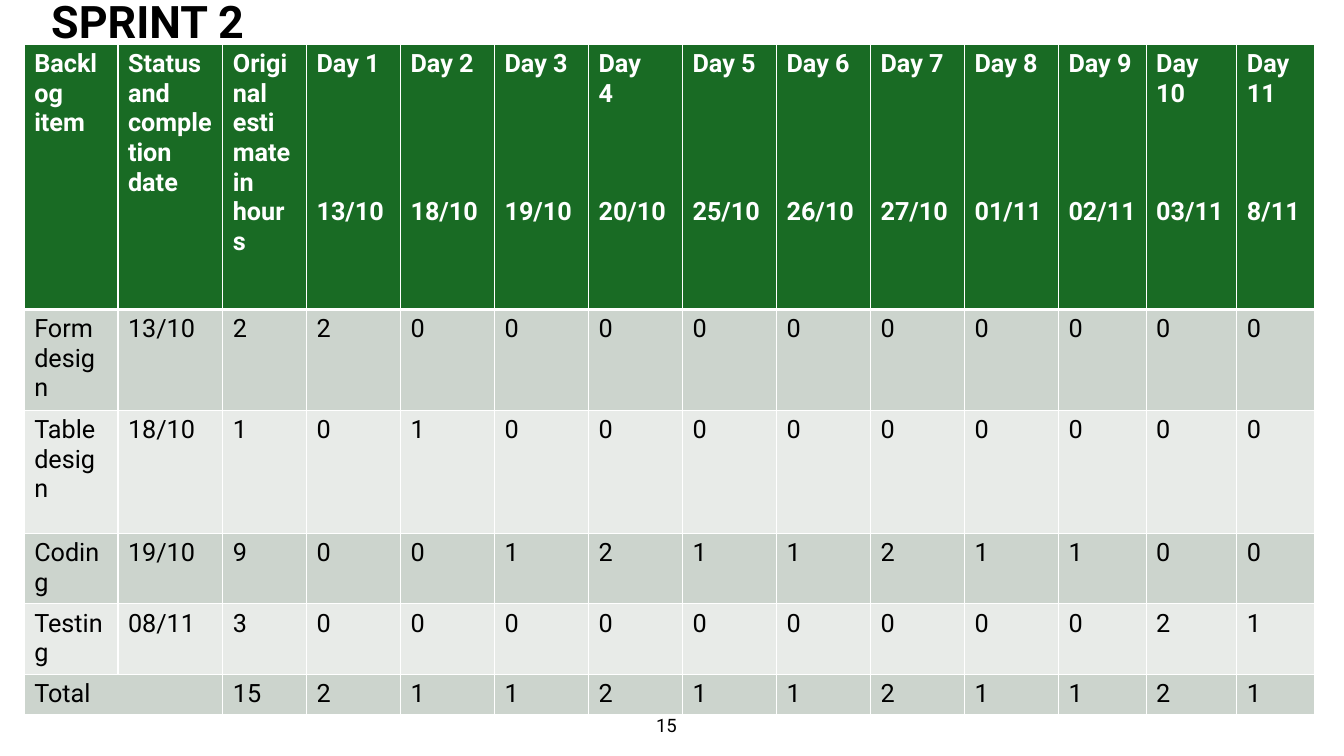
from lxml import etree
from pptx import Presentation
from pptx.dml.color import RGBColor
from pptx.enum.text import MSO_ANCHOR, PP_ALIGN
from pptx.oxml.ns import qn
from pptx.util import Inches, Pt

MIDDLE = MSO_ANCHOR.MIDDLE
CENTER = PP_ALIGN.CENTER
BLACK = RGBColor(0x00, 0x00, 0x00)
WHITE = RGBColor(0xFF, 0xFF, 0xFF)
GREEN = RGBColor(0x19, 0x6B, 0x24)
BAND_DARK = RGBColor(0xCC, 0xD4, 0xCD)
BAND_LIGHT = RGBColor(0xE8, 0xEB, 0xE8)
FONT = "Roboto"
LINE_PT = 21.1  # height of one 18 pt line

HEADINGS = ["Backlog item", "Status and completion date", "Original estimate in hours"]
DATES = ["13/10", "18/10", "19/10", "20/10", "25/10", "26/10",
         "27/10", "01/11", "02/11", "03/11", "8/11"]
TASKS = [
    ("Form design", "13/10", [2, 2, 0, 0, 0, 0, 0, 0, 0, 0, 0, 0]),
    ("Table design", "18/10", [1, 0, 1, 0, 0, 0, 0, 0, 0, 0, 0, 0]),
    ("Coding", "19/10", [9, 0, 0, 1, 2, 1, 1, 2, 1, 1, 0, 0]),
    ("Testing", "08/11", [3, 0, 0, 0, 0, 0, 0, 0, 0, 0, 2, 1]),
]
COLUMN_WIDTHS = [0.93, 1.04, 0.83] + [7.46 / 8] * 8 + [0.87, 0.9, 0.77]
ROW_HEIGHTS = [2.63, 0.94, 1.22, 0.66, 0.66, 0.38]


def style_text(frame, size, color, bold):
    """Format every run in a text frame."""
    for paragraph in frame.paragraphs:
        for run in paragraph.runs:
            run.font.name = FONT
            run.font.size = Pt(size)
            run.font.bold = bold
            run.font.color.rgb = color


def style_cell(cell, fill, color, bold, bottom_pt):
    """Give a cell its white borders, fill and text format."""
    properties = cell._tc.get_or_add_tcPr()
    for side, width in (("L", 1), ("R", 1), ("T", 1), ("B", bottom_pt)):
        border = etree.SubElement(properties, qn(f"a:ln{side}"), w=str(Pt(width)))
        solid = etree.SubElement(border, qn("a:solidFill"))
        etree.SubElement(solid, qn("a:srgbClr"), val=str(WHITE))
    cell.fill.solid()
    cell.fill.fore_color.rgb = fill
    style_text(cell.text_frame, 18, color, bold)


prs = Presentation()
prs.slide_width = Inches(13.33)
prs.slide_height = Inches(7.5)
slide = prs.slides.add_slide(prs.slide_layouts[6])

# Title
title = slide.shapes.add_textbox(Inches(0.41), Inches(-0.12), Inches(12.01), Inches(0.72))
title.text_frame.word_wrap = True
title.text_frame.vertical_anchor = MIDDLE
title.text_frame.text = "SPRINT 2"
title.text_frame.paragraphs[0].line_spacing = 0.9
style_text(title.text_frame, 32, BLACK, True)

# Sprint backlog grid
backlog = slide.shapes.add_table(
    len(ROW_HEIGHTS), len(COLUMN_WIDTHS),
    Inches(0.24), Inches(0.44), Inches(12.81), Inches(6.6)).table
for column, width in zip(backlog.columns, COLUMN_WIDTHS):
    column.width = Inches(width)
for row, height in zip(backlog.rows, ROW_HEIGHTS):
    row.height = Inches(height)

# Header row: the dates all sit on the sixth line
for col, heading in enumerate(HEADINGS):
    backlog.cell(0, col).text_frame.text = heading
for day, date in enumerate(DATES, start=1):
    label = "Day \n4" if day == 4 else f"Day {day}"
    label_lines = 2 if day in (4, 10, 11) else 1
    day_frame = backlog.cell(0, len(HEADINGS) + day - 1).text_frame
    day_frame.text = f"{label}\n{date}"
    day_frame.paragraphs[-1].space_before = Pt((5 - label_lines) * LINE_PT)

# Task rows and their totals
totals = [sum(hours) for hours in zip(*(task[2] for task in TASKS))]
body = [[name, done, *hours] for name, done, hours in TASKS] + [["Total", "", *totals]]
for row, values in enumerate(body, start=1):
    for col, value in enumerate(values):
        backlog.cell(row, col).text_frame.text = str(value)
last_row = len(body)
backlog.cell(last_row, 0).merge(backlog.cell(last_row, 1))

for row in range(len(ROW_HEIGHTS)):
    for col in range(len(COLUMN_WIDTHS)):
        if row == 0:
            style_cell(backlog.cell(row, col), GREEN, WHITE, True, 3)
        else:
            band = BAND_DARK if row % 2 else BAND_LIGHT
            style_cell(backlog.cell(row, col), band, BLACK, False, 1)

# Page number
page_number = slide.shapes.add_textbox(Inches(5.33), Inches(7.09), Inches(2.56), Inches(0.27))
page_number.text_frame.word_wrap = True
page_number.text_frame.text = "15"
page_line = page_number.text_frame.paragraphs[0]
page_line.alignment = CENTER
page_line.line_spacing = 0.7
page_line.space_before = Pt(10)
style_text(page_number.text_frame, 13.2, BLACK, False)

prs.save("out.pptx")
